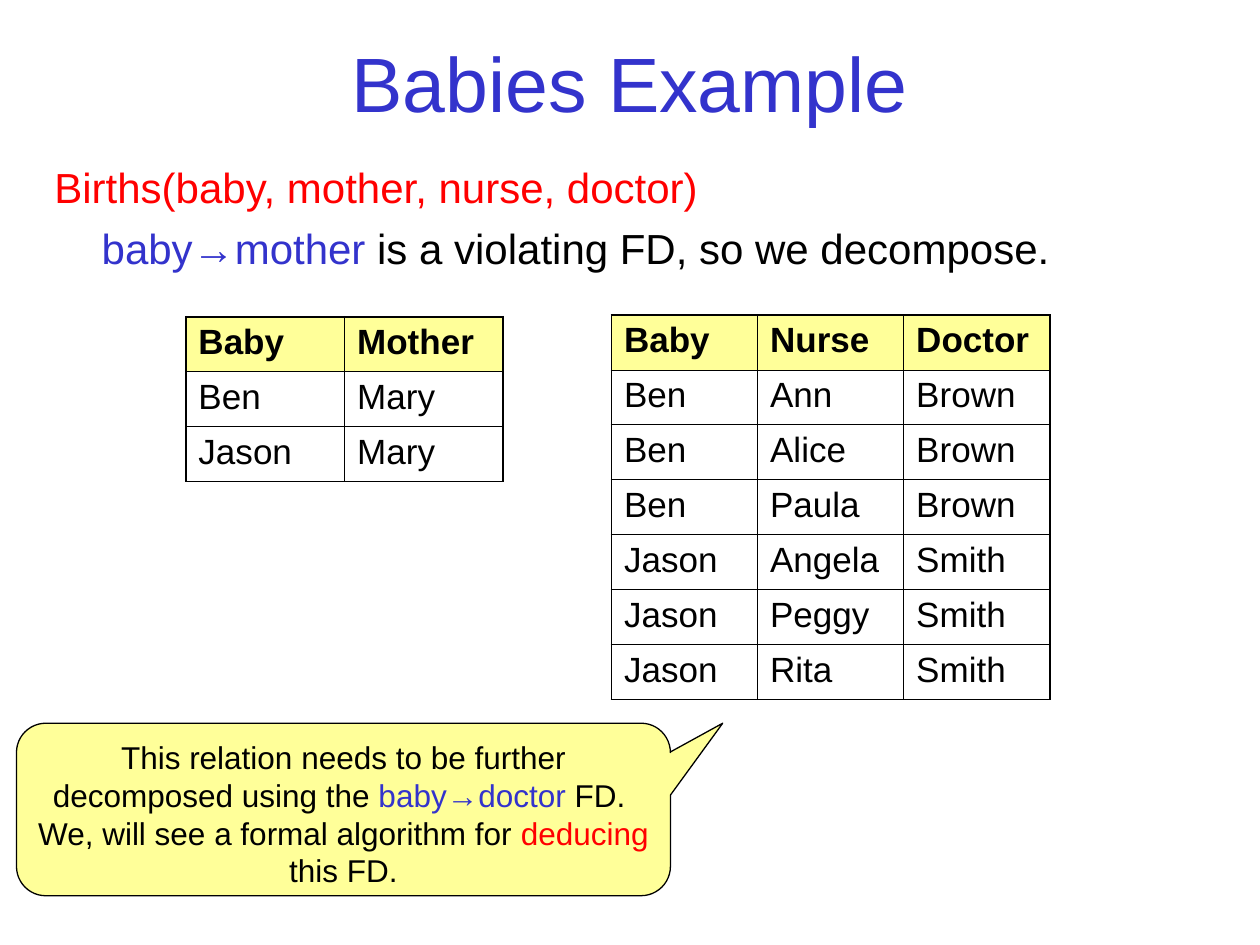
from lxml.etree import SubElement
from pptx import Presentation
from pptx.dml.color import RGBColor
from pptx.enum.shapes import MSO_SHAPE
from pptx.enum.text import MSO_ANCHOR, PP_ALIGN
from pptx.oxml.ns import qn
from pptx.util import Pt

BLACK = RGBColor(0x00, 0x00, 0x00)
BLUE = RGBColor(0x33, 0x33, 0xCC)
RED = RGBColor(0xFF, 0x00, 0x00)
YELLOW = RGBColor(0xFF, 0xFF, 0x99)
FONT = "Arial"


def write_runs(paragraph, size, runs):
    paragraph.font.name = FONT
    paragraph.font.size = Pt(size)
    for text, color in runs:
        run = paragraph.add_run()
        run.text = text
        run.font.color.rgb = color


def add_border(cell, side, width):
    line = SubElement(cell._tc.get_or_add_tcPr(), qn(f"a:{side}"), w=str(Pt(width)))
    fill = SubElement(line, qn("a:solidFill"))
    SubElement(fill, qn("a:srgbClr"), val=str(BLACK))


presentation = Presentation()
presentation.slide_width = Pt(720)
presentation.slide_height = Pt(540)
slide = presentation.slides.add_slide(presentation.slide_layouts[6])

title = slide.shapes.add_textbox(Pt(54), Pt(10.8), Pt(612), Pt(72)).text_frame
title.word_wrap = True
title.vertical_anchor = MSO_ANCHOR.MIDDLE
title.paragraphs[0].alignment = PP_ALIGN.CENTER
write_runs(title.paragraphs[0], 44, [("Babies Example", BLUE)])

schema = slide.shapes.add_textbox(Pt(24), Pt(88.8), Pt(672), Pt(79.8)).text_frame
schema.word_wrap = True
write_runs(schema.paragraphs[0], 24, [("Births(baby, mother, nurse, doctor)", RED)])
violation = schema.add_paragraph()
violation.space_before = Pt(6)
violation._p.get_or_add_pPr().set("marL", str(Pt(27)))
write_runs(violation, 24, [
    ("baby→mother", BLUE),
    (" is a violating FD, so we decompose.", BLACK),
])

relations = [
    (106.2, 181, 90.7, [
        ("Baby", "Mother"),
        ("Ben", "Mary"),
        ("Jason", "Mary"),
    ]),
    (349.4, 180, 83.5, [
        ("Baby", "Nurse", "Doctor"),
        ("Ben", "Ann", "Brown"),
        ("Ben", "Alice", "Brown"),
        ("Ben", "Paula", "Brown"),
        ("Jason", "Angela", "Smith"),
        ("Jason", "Peggy", "Smith"),
        ("Jason", "Rita", "Smith"),
    ]),
]
ROW_HEIGHT = 31.4
OUTER, INNER = 1.08, 0.45

for left, top, column_width, rows in relations:
    row_count, column_count = len(rows), len(rows[0])
    relation = slide.shapes.add_table(
        row_count, column_count, Pt(left), Pt(top),
        Pt(column_width * column_count), Pt(ROW_HEIGHT * row_count)).table
    for column in relation.columns:
        column.width = Pt(column_width)
    for r, row in enumerate(rows):
        relation.rows[r].height = Pt(ROW_HEIGHT)
        for c, value in enumerate(row):
            cell = relation.cell(r, c)
            add_border(cell, "lnL", OUTER if c == 0 else INNER)
            add_border(cell, "lnR", OUTER if c == column_count - 1 else INNER)
            add_border(cell, "lnT", OUTER if r == 0 else INNER)
            add_border(cell, "lnB", OUTER if r == row_count - 1 else INNER)
            if r == 0:
                cell.fill.solid()
                cell.fill.fore_color.rgb = YELLOW
            else:
                cell.fill.background()
            paragraph = cell.text_frame.paragraphs[0]
            paragraph.font.bold = r == 0
            write_runs(paragraph, 20, [(value, BLACK)])

callout = slide.shapes.add_shape(
    MSO_SHAPE.ROUNDED_RECTANGULAR_CALLOUT, Pt(9.4), Pt(413.3), Pt(373.7), Pt(98.6))
callout.shadow.inherit = False
callout.adjustments[0] = 0.58
callout.adjustments[1] = -0.5
callout.adjustments[2] = 0.17
callout.fill.solid()
callout.fill.fore_color.rgb = YELLOW
callout.line.color.rgb = BLACK
callout.line.width = Pt(0.75)
remark = callout.text_frame
remark.word_wrap = True
remark.vertical_anchor = MSO_ANCHOR.TOP
remark_runs = [
    [("This relation needs to be further decomposed using the ", BLACK),
     ("baby→doctor", BLUE), (" FD. ", BLACK)],
    [("We, will see a formal algorithm for ", BLACK),
     ("deducing", RED), (" this FD.", BLACK)],
]
remark.add_paragraph()
for paragraph, runs in zip(remark.paragraphs, remark_runs):
    paragraph.alignment = PP_ALIGN.CENTER
    write_runs(paragraph, 18, runs)

presentation.save("out.pptx")
